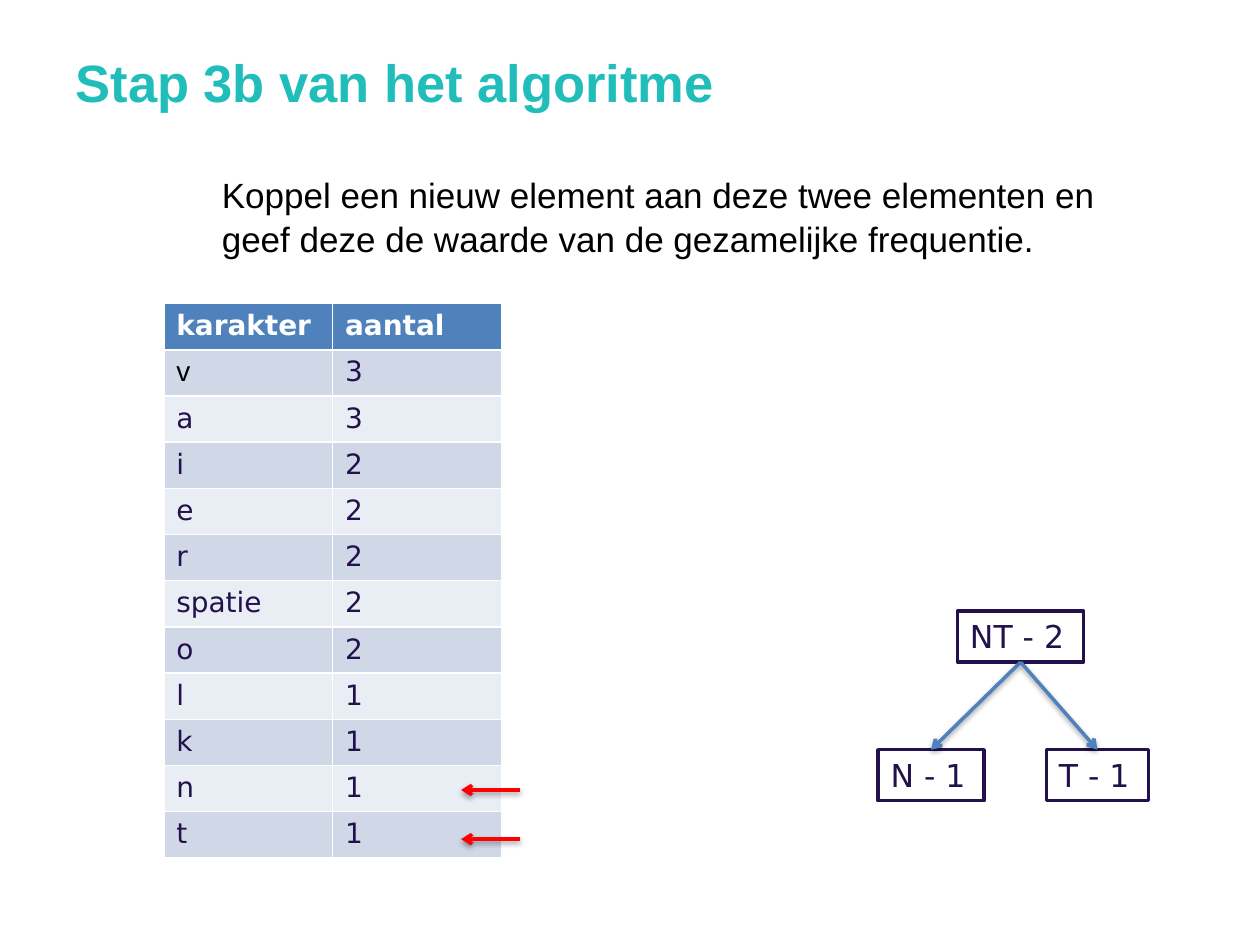
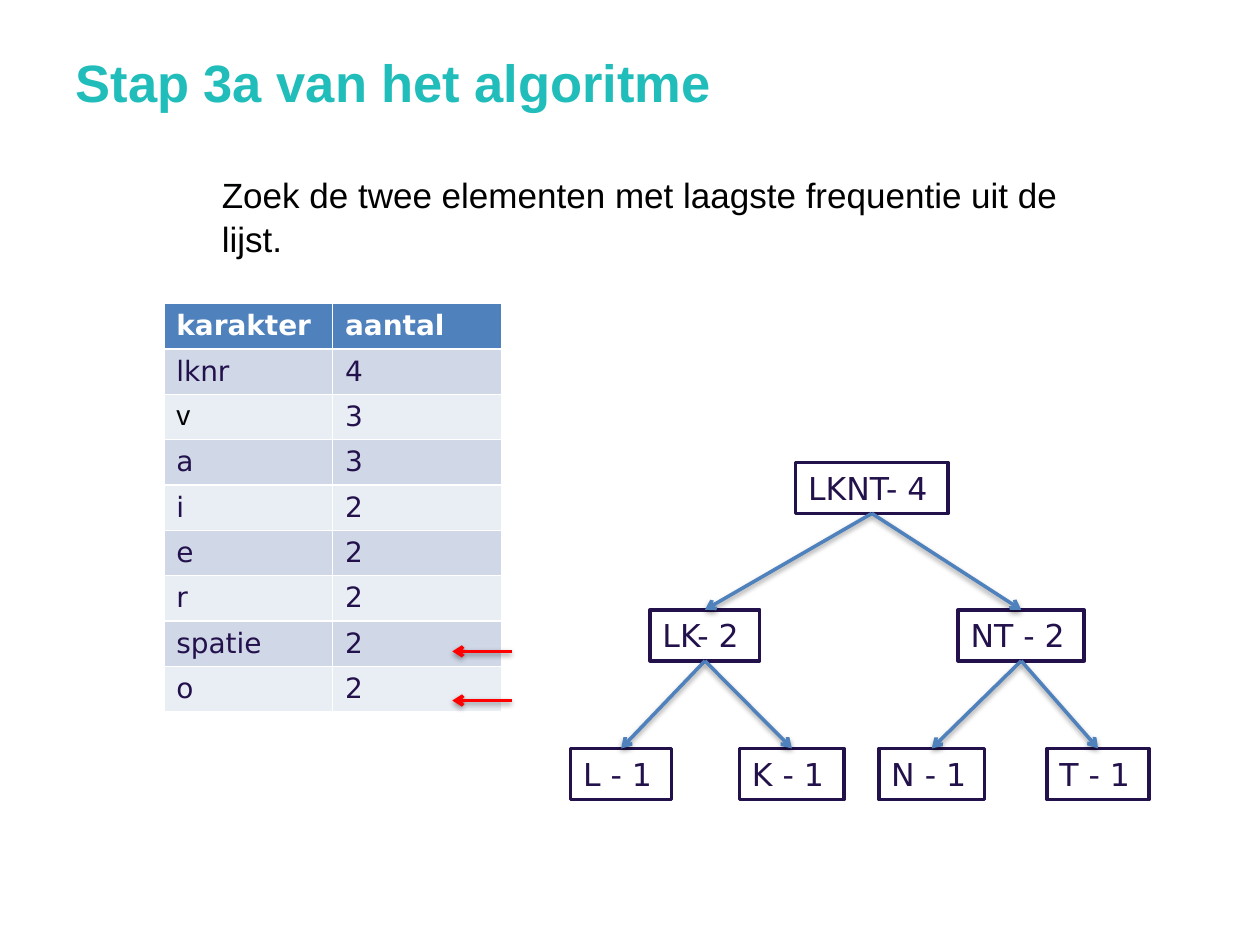
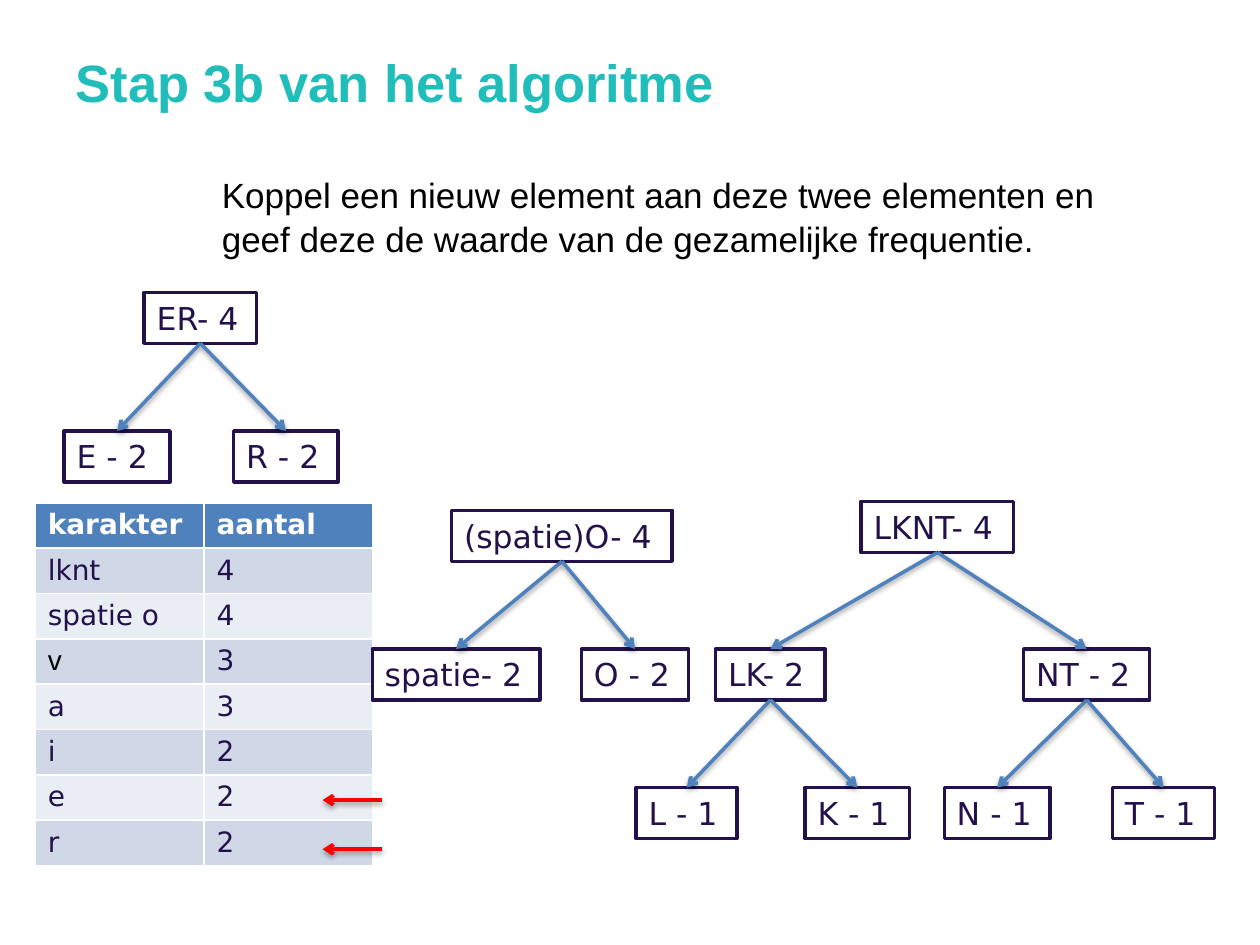
from dataclasses import dataclass

from lxml.etree import SubElement
from pptx import Presentation
from pptx.dml.color import RGBColor
from pptx.enum.shapes import MSO_CONNECTOR, MSO_SHAPE
from pptx.enum.text import MSO_ANCHOR, MSO_AUTO_SIZE, PP_ALIGN
from pptx.oxml.ns import qn
from pptx.util import Inches, Pt

COLORS = {
    "title": "20BDBA",
    "text": "000102",
    "dark": "23114C",
    "accent": "4F81BD",
    "band_odd": "D0D8E8",
    "band_even": "E9EDF4",
    "pointer": "FF0000",
    "white": "FFFFFF",
}
SANS, MONITOR_SANS = "Arial", "DejaVu Sans"

# Square grid: the slide is 100 columns wide and 75 rows high.
COLUMNS, ROWS = 100, 75
CELL = Inches(0.1)

TITLE_BOX = (5, 3, 90, 7.7)
BODY_BOX = (12.2, 13.1, 77.2, 11.1)
TABLE_COLUMN = 13.4
NODE_HEIGHT = 4.05
POINTER_LENGTH, POINTER_GAP = 4.7, 3.9

FIND = "Zoek de twee elementen met laagste frequentie uit de lijst."
JOIN = ("Koppel een nieuw element aan deze twee elementen en geef deze "
        "de waarde van de gezamelijke frequentie.")


@dataclass
class Node:
    """A tree node; shift is its centre's distance from the parent's centre."""
    label: str
    width: float
    shift: float = 0
    drop: float = 11
    children: tuple = ()


LK = Node("LK- 2", 8.7, -13.25, children=(
    Node("L - 1", 8, -6.65), Node("K - 1", 8.3, 6.9)))
NT = Node("NT - 2", 10, 11.85, children=(
    Node("N - 1", 8.4, -7.1), Node("T - 1", 8.1, 6.1)))
LKNT = Node("LKNT- 4", 12.1, drop=11.7, children=(LK, NT))
SPACE_O = Node("(spatie)O- 4", 17.5, children=(
    Node("spatie- 2", 13.3, -8.4), Node("O - 2", 8.5, 5.8)))
ER = Node("ER- 4", 8.9, children=(
    Node("E - 2", 8.4, -6.6), Node("R - 2", 8.3, 6.8)))


def grid(*lengths):
    return [round(length * CELL) for length in lengths]


def color(name):
    return RGBColor.from_string(COLORS[name])


def add_run(paragraph, text, size, font_name, color_name, bold=False):
    run = paragraph.add_run()
    run.text = text
    run.font.size = Pt(size)
    run.font.name = font_name
    run.font.bold = bold
    run.font.color.rgb = color(color_name)


def prepare_placeholder(placeholder, box, line_spacing):
    """Move a placeholder and return its first paragraph."""
    placeholder.left, placeholder.top, placeholder.width, placeholder.height = grid(*box)
    frame = placeholder.text_frame
    frame.word_wrap = True
    frame.auto_size = MSO_AUTO_SIZE.NONE
    frame.vertical_anchor = MSO_ANCHOR.TOP
    paragraph = frame.paragraphs[0]
    paragraph.alignment = PP_ALIGN.LEFT
    paragraph.line_spacing = line_spacing
    paragraph.space_before = Pt(0)
    return paragraph


def add_step_slide(presentation, title, instruction):
    slide = presentation.slides.add_slide(presentation.slide_layouts[1])
    heading = prepare_placeholder(slide.shapes.title, TITLE_BOX, 1.1)
    add_run(heading, title, 30, SANS, "title", bold=True)

    body = prepare_placeholder(slide.placeholders[1], BODY_BOX, 1.05)
    body.level = 1
    properties = body._p.get_or_add_pPr()
    properties.set("marL", str(Inches(0.44)))
    properties.set("indent", "0")
    SubElement(properties, qn("a:buNone"))
    add_run(body, instruction, 20, SANS, "text")
    return slide


def add_frequency_table(slide, left, top, height, counts):
    rows = [("karakter", "aantal"), *counts]
    frame = slide.shapes.add_table(
        len(rows), 2, *grid(left, top, 2 * TABLE_COLUMN, height))
    table = frame.table
    for row_index, values in enumerate(rows):
        table.rows[row_index].height = grid(height / len(rows))[0]
        is_header = row_index == 0
        band = "accent" if is_header else ("band_even", "band_odd")[row_index % 2]
        for column_index, value in enumerate(values):
            cell = table.cell(row_index, column_index)
            cell.fill.solid()
            cell.fill.fore_color.rgb = color(band)
            font_name, ink = (SANS, "text") if value == "v" else (MONITOR_SANS, "dark")
            add_run(cell.text_frame.paragraphs[0], value, 16, font_name,
                    "white" if is_header else ink, bold=is_header)


def add_arrow(slide, start, end, color_name):
    arrow = slide.shapes.add_connector(
        MSO_CONNECTOR.STRAIGHT, *grid(*start, *end))
    arrow.line.width = Pt(2)
    arrow.line.color.rgb = color(color_name)
    SubElement(arrow.line._get_or_add_ln(), qn("a:tailEnd"), type="arrow")
    return arrow


def add_pointers(slide, right, top):
    """Mark two neighbouring table rows with arrows that point left."""
    for y in (top, top + POINTER_GAP):
        add_arrow(slide, (right, y), (right - POINTER_LENGTH, y), "pointer")


def add_node(slide, label, center, top, width):
    box = slide.shapes.add_shape(
        MSO_SHAPE.RECTANGLE, *grid(center - width / 2, top, width, NODE_HEIGHT))
    box.shadow.inherit = False
    box.fill.solid()
    box.fill.fore_color.rgb = color("white")
    box.line.color.rgb = color("dark")
    box.line.width = Pt(2)
    frame = box.text_frame
    frame.word_wrap = False
    frame.vertical_anchor = MSO_ANCHOR.TOP
    paragraph = frame.paragraphs[0]
    paragraph.alignment = PP_ALIGN.LEFT
    add_run(paragraph, label, 18, MONITOR_SANS, "dark")
    return box


def add_tree(slide, node, center, top):
    """Draw a node centred on a column, with its subtrees, and return its box."""
    box = add_node(slide, node.label, center, top, node.width)
    for child in node.children:
        child_center, child_top = center + child.shift, top + node.drop
        child_box = add_tree(slide, child, child_center, child_top)
        arrow = add_arrow(slide, (center, top + NODE_HEIGHT),
                          (child_center, child_top), "accent")
        arrow.begin_connect(box, 2)
        arrow.end_connect(child_box, 0)
    return box


def build_first_join(presentation):
    slide = add_step_slide(presentation, "Stap 3b van het algoritme", JOIN)
    add_frequency_table(slide, 13, 24.1, 44, [
        ("v", "3"), ("a", "3"), ("i", "2"), ("e", "2"), ("r", "2"),
        ("spatie", "2"), ("o", "2"), ("l", "1"), ("k", "1"), ("n", "1"), ("t", "1")])
    add_pointers(slide, 41.3, 62.7)
    add_tree(slide, NT, 81, 48.5)


def build_search(presentation):
    slide = add_step_slide(presentation, "Stap 3a van het algoritme", FIND)
    add_frequency_table(slide, 13, 24.1, 32.4, [
        ("lknr", "4"), ("v", "3"), ("a", "3"), ("i", "2"), ("e", "2"),
        ("r", "2"), ("spatie", "2"), ("o", "2")])
    add_tree(slide, LKNT, 69.2, 36.7)
    add_pointers(slide, 40.6, 51.7)


def build_last_join(presentation):
    slide = add_step_slide(presentation, "Stap 3b van het algoritme", JOIN)
    add_frequency_table(slide, 2.8, 39.9, 28.8, [
        ("lknt", "4"), ("spatie o", "4"), ("v", "3"), ("a", "3"),
        ("i", "2"), ("e", "2"), ("r", "2")])
    add_tree(slide, LKNT, 74.4, 39.8)
    add_tree(slide, SPACE_O, 44.6, 40.5)
    add_pointers(slide, 30.3, 63.5)
    add_tree(slide, ER, 15.9, 23.2)


def main():
    presentation = Presentation()
    presentation.slide_width, presentation.slide_height = grid(COLUMNS, ROWS)
    build_first_join(presentation)
    build_search(presentation)
    build_last_join(presentation)
    presentation.save("out.pptx")


if __name__ == "__main__":
    main()
